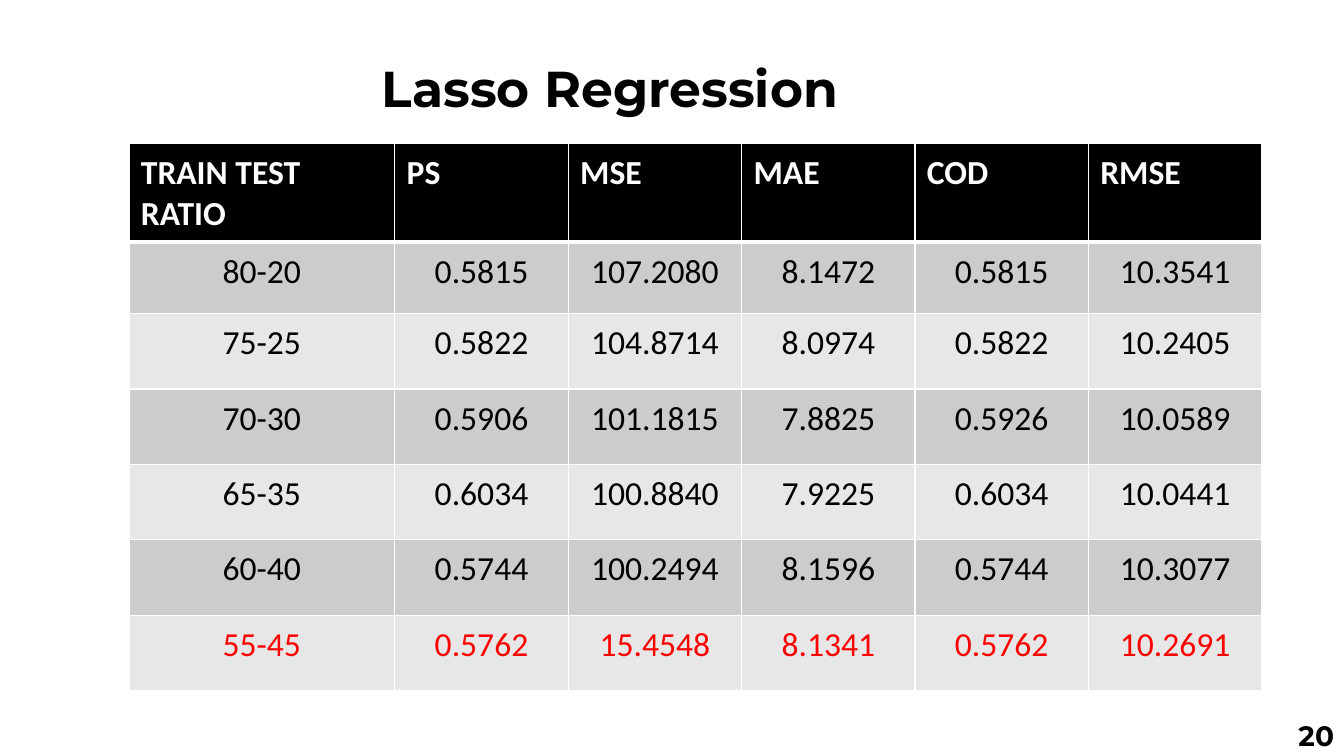
import dataclasses
import lxml.etree
import pptx
import pptx.dml.color
import pptx.enum.text
import pptx.oxml.ns
import pptx.util

Cm = pptx.util.Cm
Pt = pptx.util.Pt
ALIGN = pptx.enum.text.PP_ALIGN
ANCHOR = pptx.enum.text.MSO_ANCHOR
qn = pptx.oxml.ns.qn


@dataclasses.dataclass(frozen=True)
class Theme:
    heading_font: str = "Montserrat"
    table_font: str = "Calibri"
    title_size: int = 36
    number_size: int = 20
    table_size: int = 24
    ink: str = "000000"
    paper: str = "FFFFFF"
    bands: tuple = ("CCCCCC", "E7E7E7")
    highlight: str = "FF0000"
    rule: float = 1
    header_rule: float = 3


THEME = Theme()

HEADERS = ["TRAIN TEST RATIO", "PS", "MSE", "MAE", "COD", "RMSE"]
RESULTS = [
    ["80-20", "0.5815", "107.2080", "8.1472", "0.5815", "10.3541"],
    ["75-25", "0.5822", "104.8714", "8.0974", "0.5822", "10.2405"],
    ["70-30", "0.5906", "101.1815", "7.8825", "0.5926", "10.0589"],
    ["65-35", "0.6034", "100.8840", "7.9225", "0.6034", "10.0441"],
    ["60-40", "0.5744", "100.2494", "8.1596", "0.5744", "10.3077"],
    ["55-45", "0.5762", "15.4548", "8.1341", "0.5762", "10.2691"],
]


def rgb(color):
    return pptx.dml.color.RGBColor.from_string(color)


def write(tf, text, font, size, color, bold, align):
    tf.text = text
    p = tf.paragraphs[0]
    p.alignment = align
    r = p.runs[0]
    r.font.name = font
    r.font.size = Pt(size)
    r.font.bold = bold
    r.font.color.rgb = rgb(color)
    return p


def add_heading_text(s, box, text, size, align):
    sp = s.shapes.add_textbox(*map(Cm, box))
    tf = sp.text_frame
    tf.word_wrap = True
    tf.vertical_anchor = ANCHOR.MIDDLE
    write(tf, text, THEME.heading_font, size, THEME.ink, True, align)
    return tf


def add_title(s, box, text):
    tf = add_heading_text(s, box, text, THEME.title_size, ALIGN.LEFT)
    tf.margin_bottom = Cm(1.93)
    tf.paragraphs[0].line_spacing = 0.9


def add_slide_number(s, box, text):
    add_heading_text(s, box, text, THEME.number_size, ALIGN.RIGHT)


def set_borders(cell, top, bottom):
    tcPr = cell._tc.get_or_add_tcPr()
    widths = {"a:lnL": THEME.rule, "a:lnR": THEME.rule, "a:lnT": top, "a:lnB": bottom}
    for tag, width in widths.items():
        ln = lxml.etree.SubElement(tcPr, qn(tag), w=str(Pt(width)))
        fill = lxml.etree.SubElement(ln, qn("a:solidFill"))
        lxml.etree.SubElement(fill, qn("a:srgbClr"), val=THEME.paper)


def style_cell(cell, text, row, last_row):
    header = row == 0
    if header:
        color, fill = THEME.paper, THEME.ink
    else:
        color = THEME.highlight if row == last_row else THEME.ink
        fill = THEME.bands[(row - 1) % 2]
    set_borders(
        cell,
        THEME.header_rule if row == 1 else THEME.rule,
        THEME.header_rule if header else THEME.rule,
    )
    cell.fill.solid()
    cell.fill.fore_color.rgb = rgb(fill)
    cell.margin_left = cell.margin_right = Cm(0.3)
    cell.margin_top = cell.margin_bottom = Cm(0.23)
    write(cell.text_frame, text, THEME.table_font, THEME.table_size, color,
          header, ALIGN.LEFT if header else ALIGN.CENTER)


def add_results_table(s, box, headers, results):
    rows = [headers] + results
    left, top, width, height = box
    ratio_width, row_height, first_result_height = 6.7, 1.9, 1.8
    metric_width = (width - ratio_width) / (len(headers) - 1)
    table = s.shapes.add_table(
        len(rows), len(headers), Cm(left), Cm(top), Cm(width), Cm(height)
    ).table
    for i, column in enumerate(table.columns):
        column.width = Cm(ratio_width if i == 0 else metric_width)
    for i, values in enumerate(rows):
        table.rows[i].height = Cm(first_result_height if i == 1 else row_height)
        for j, text in enumerate(values):
            style_cell(table.cell(i, j), text, i, len(results))


def main():
    prs = pptx.Presentation()
    prs.slide_width = Cm(33.87)
    prs.slide_height = Cm(19.05)
    s = prs.slides.add_slide(prs.slide_layouts[6])
    add_title(s, (9.37, 0.94, 15.95, 4.5), "Lasso Regression")
    add_slide_number(s, (26.25, 18.03, 7.62, 1.02), "20")
    add_results_table(s, (3.25, 3.61, 28.55, 13.2), HEADERS, RESULTS)
    prs.save("out.pptx")


if __name__ == "__main__":
    main()
